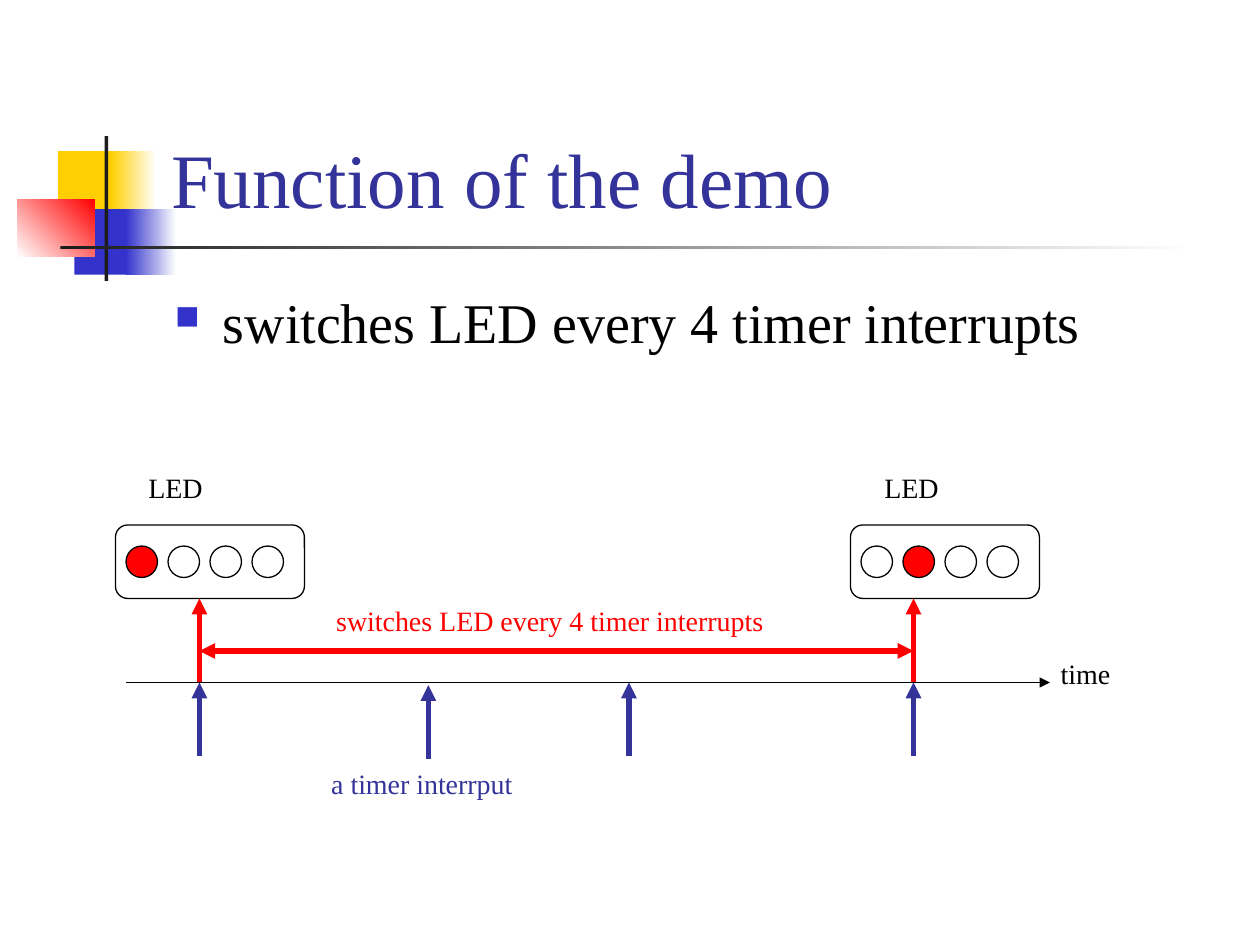
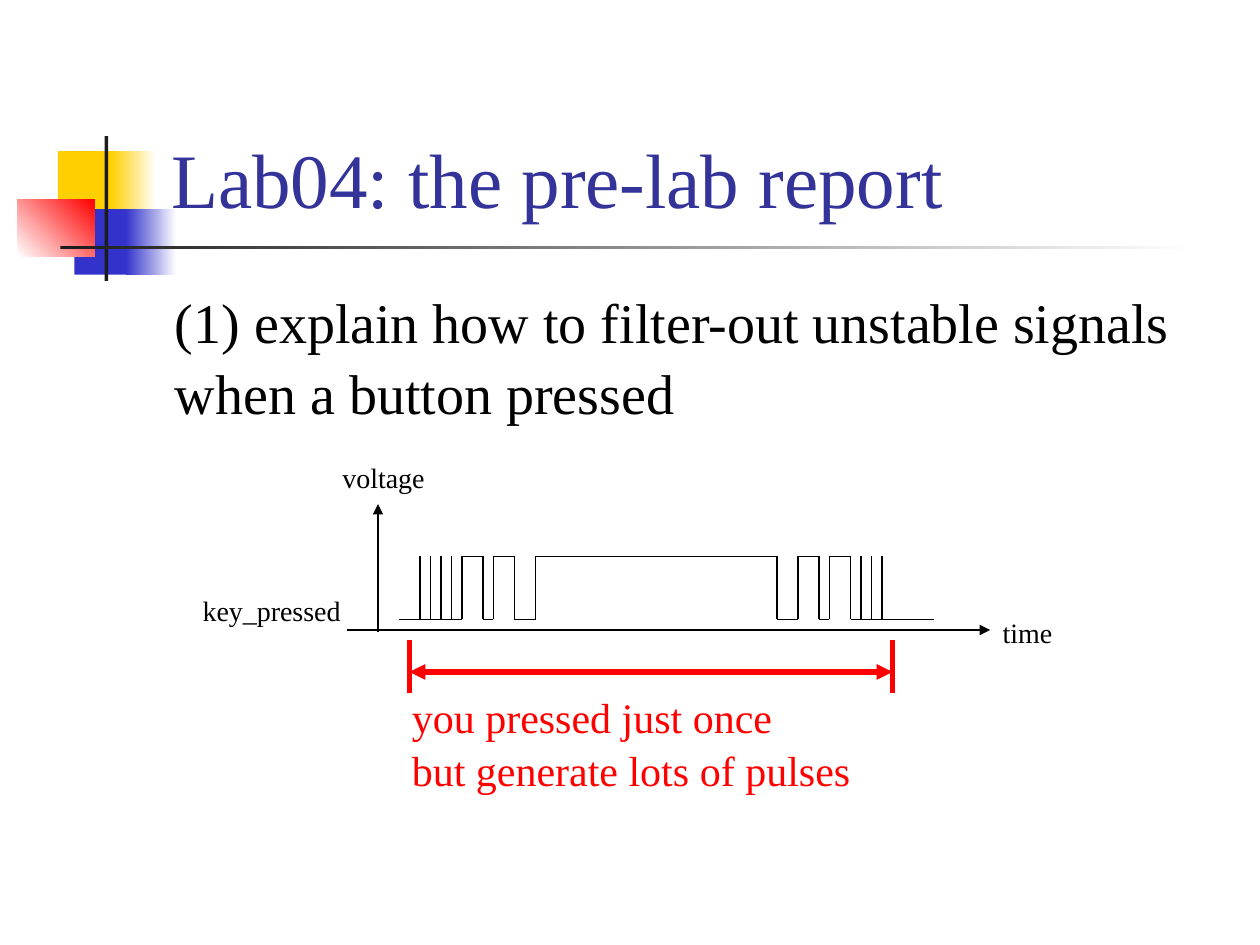
from itertools import pairwise

from lxml import etree
from pptx import Presentation
from pptx.dml import color
from pptx.enum import shapes, text
from pptx.oxml import ns
from pptx.util import Emu, Inches, Pt

WIDTH, HEIGHT = 10, 7.5
CELL = 1 / 12
FONT = "Times New Roman"
COLORS = {
    "ink": "000000", "title": "333399", "red": "FF0000", "blue": "3333CC",
    "yellow": "FFCF01", "bar": "1C1C1C", "white": "FFFFFF",
}

BANDS = [
    ((0.46, 1.2, 0.48, 0.52), ["yellow"], 0),
    ((0.88, 1.2, 0.36, 0.52), ["yellow", "white"], 0),
    ((0.59, 1.66, 0.46, 0.52), ["blue"], 0),
    ((1, 1.66, 0.4, 0.52), ["blue", "white"], 0),
    ((0.14, 1.58, 0.61, 0.46), ["white", "red"], 45),
    ((0.83, 1.08, 0.03, 1.15), ["bar"], 0),
    ((0.48, 1.95, 9, 0.03), ["bar", "white"], 0),
]
TITLE_BOX = (1.26, 0.23, 8.52, 1.6)

DEMO = {
    "title": "Function of the demo",
    "body": "switches LED every 4 timer interrupts",
    "body_box": (1.29, 2.21, 8.5, 0.71),
    "bullet": True,
    "labels": [
        (["time"], (8.32, 5.15, 0.6, 0.37), 16, "ink"),
        (["LED"], (1.08, 3.67, 0.63, 0.37), 16, "ink"),
        (["LED"], (6.92, 3.67, 0.63, 0.37), 16, "ink"),
        (["a timer interrput"], (2.53, 6.02, 1.65, 0.37), 16, "title"),
        (["switches LED every 4 timer interrupts"], (2.57, 4.73, 3.72, 0.37), 16, "red"),
    ],
}
REPORT = {
    "title": "Lab04: the pre-lab report",
    "body": "(1) explain how to filter-out unstable signals when a button pressed",
    "body_box": (1.29, 2.21, 8.5, 1.38),
    "bullet": False,
    "labels": [
        (["time"], (7.86, 4.82, 0.6, 0.37), 16, "ink"),
        (["key_pressed"], (1.51, 4.65, 1.3, 0.37), 16, "ink"),
        (["you pressed just once", "but generate lots of pulses"],
         (3.17, 5.42, 3.68, 0.9), 24, "red"),
        (["voltage"], (2.62, 3.59, 0.86, 0.37), 16, "ink"),
    ],
}

LED_COUNT = 4
LED_PANELS = [(11, 0), (81, 1)]
PANEL_TOP, PANEL_BOTTOM = 50, 57
TIME_AXIS = 65
SWITCHES = [19, 87]
INTERRUPTS = [(19, 0), (40.8, 0.25), (59.9, 0), (87, 0)]

HIGH, LOW = 53, 59
SIGNAL_START, SIGNAL_END = 38, 89
EDGES = [44, 46, 47, 49, 51, 74, 76, 78, 79, 81]
SPIKES = [40, 41, 42, 43, 82, 83, 84]
PRESS_START, PRESS_END = 39, 85


def rgb(name):
    return color.RGBColor.from_string(COLORS[name])


def add_xml(parent, tag, **attributes):
    return etree.SubElement(parent, ns.qn(tag), **attributes)


def add_shape(slide, kind, box, fills=(), angle=0, line=None):
    shape = slide.shapes.add_shape(kind, *map(Inches, box))
    shape.shadow.inherit = False
    if len(fills) == 2:
        shape.fill.gradient()
        shape.fill.gradient_angle = angle
        for stop, name in zip(shape.fill.gradient_stops, fills):
            stop.color.rgb = rgb(name)
    elif fills:
        shape.fill.solid()
        shape.fill.fore_color.rgb = rgb(fills[0])
    else:
        shape.fill.background()
    if line:
        shape.line.color.rgb = rgb(line)
        shape.line.width = Pt(0.75)
    else:
        shape.line.fill.background()
    return shape


def add_line(slide, start, end, name="ink", width=0.75, arrows=()):
    points = [Emu(Inches(value * CELL)) for value in (*start, *end)]
    connector = slide.shapes.add_connector(shapes.MSO_CONNECTOR.STRAIGHT, *points)
    connector.line.color.rgb = rgb(name)
    connector.line.width = Pt(width)
    outline = connector.line._get_or_add_ln()
    for arrow in arrows:
        add_xml(outline, arrow, type="triangle")
    add_xml(connector._element.spPr, "a:effectLst")


def add_arrow(slide, start, end, name="ink", width=0.75):
    add_line(slide, start, end, name, width, ["a:tailEnd"])


def add_span(slide, start, end):
    add_line(slide, start, end, "red", 3, ["a:headEnd", "a:tailEnd"])


def add_text(slide, lines, box, size, name, wrap=False):
    frame = slide.shapes.add_textbox(*map(Inches, box)).text_frame
    frame.word_wrap = wrap
    frame.auto_size = text.MSO_AUTO_SIZE.NONE if wrap else text.MSO_AUTO_SIZE.SHAPE_TO_FIT_TEXT
    for index, line in enumerate(lines):
        paragraph = frame.add_paragraph() if index else frame.paragraphs[0]
        paragraph.line_spacing = 1.05
        run = paragraph.add_run()
        run.text = line
        run.font.name = FONT
        run.font.size = Pt(size)
        run.font.color.rgb = rgb(name)
    return frame


def add_body(slide, content):
    frame = add_text(slide, [content["body"]], content["body_box"], 32, "ink", wrap=True)
    properties = frame.paragraphs[0]._p.get_or_add_pPr()
    add_xml(add_xml(properties, "a:spcBef"), "a:spcPct", val="20000")
    if content["bullet"]:
        indent = Inches(0.38)
        properties.set("marL", str(indent))
        properties.set("indent", str(-indent))
        add_xml(add_xml(properties, "a:buClr"), "a:srgbClr", val=COLORS["blue"])
        add_xml(properties, "a:buSzPct", val="60000")
        add_xml(properties, "a:buChar", char="■")


def add_base_slide(presentation, content):
    slide = presentation.slides.add_slide(presentation.slide_layouts[6])
    for box, fills, angle in BANDS:
        add_shape(slide, shapes.MSO_SHAPE.RECTANGLE, box, fills, angle)
    title = add_text(slide, [content["title"]], TITLE_BOX, 44, "title", wrap=True)
    title.vertical_anchor = text.MSO_ANCHOR.BOTTOM
    add_body(slide, content)
    for label in content["labels"]:
        add_text(slide, *label)
    return slide


def draw_led_timeline(slide):
    for left, lit in LED_PANELS:
        for index in range(LED_COUNT):
            box = [value * CELL for value in (left + 1 + 4 * index, PANEL_TOP + 2, 3, 3)]
            fills = ["red"] if index == lit else []
            add_shape(slide, shapes.MSO_SHAPE.OVAL, box, fills, line="ink")
        panel = [value * CELL for value in (left, PANEL_TOP, 18, PANEL_BOTTOM - PANEL_TOP)]
        add_shape(slide, shapes.MSO_SHAPE.ROUNDED_RECTANGLE, panel, line="ink")
    add_arrow(slide, (12, TIME_AXIS), (100, TIME_AXIS))
    for x, drop in INTERRUPTS:
        add_arrow(slide, (x, TIME_AXIS + 7 + drop), (x, TIME_AXIS + drop), "title", 3)
    for x in SWITCHES:
        add_arrow(slide, (x, TIME_AXIS), (x, PANEL_BOTTOM), "red", 3)
    add_span(slide, (SWITCHES[0], TIME_AXIS - 3), (SWITCHES[1], TIME_AXIS - 3))


def draw_bouncing_signal(slide):
    trace = [(SIGNAL_START, LOW)]
    for index, x in enumerate(EDGES):
        levels = (HIGH, LOW) if index % 2 else (LOW, HIGH)
        trace += [(x, level) for level in levels]
    trace.append((SIGNAL_END, LOW))
    for start, end in pairwise(trace):
        add_line(slide, start, end)
    for x in SPIKES:
        add_line(slide, (x, LOW), (x, HIGH))
    for x in (PRESS_START, PRESS_END):
        add_line(slide, (x, 61), (x, 66), "red", 3)
    add_span(slide, (PRESS_START, 64), (PRESS_END, 64))
    add_arrow(slide, (36, 60.2), (36, 48))
    add_arrow(slide, (33, 60), (94.3, 60))


def main():
    presentation = Presentation()
    presentation.slide_width = Inches(WIDTH)
    presentation.slide_height = Inches(HEIGHT)
    draw_led_timeline(add_base_slide(presentation, DEMO))
    draw_bouncing_signal(add_base_slide(presentation, REPORT))
    presentation.save("out.pptx")


if __name__ == "__main__":
    main()
